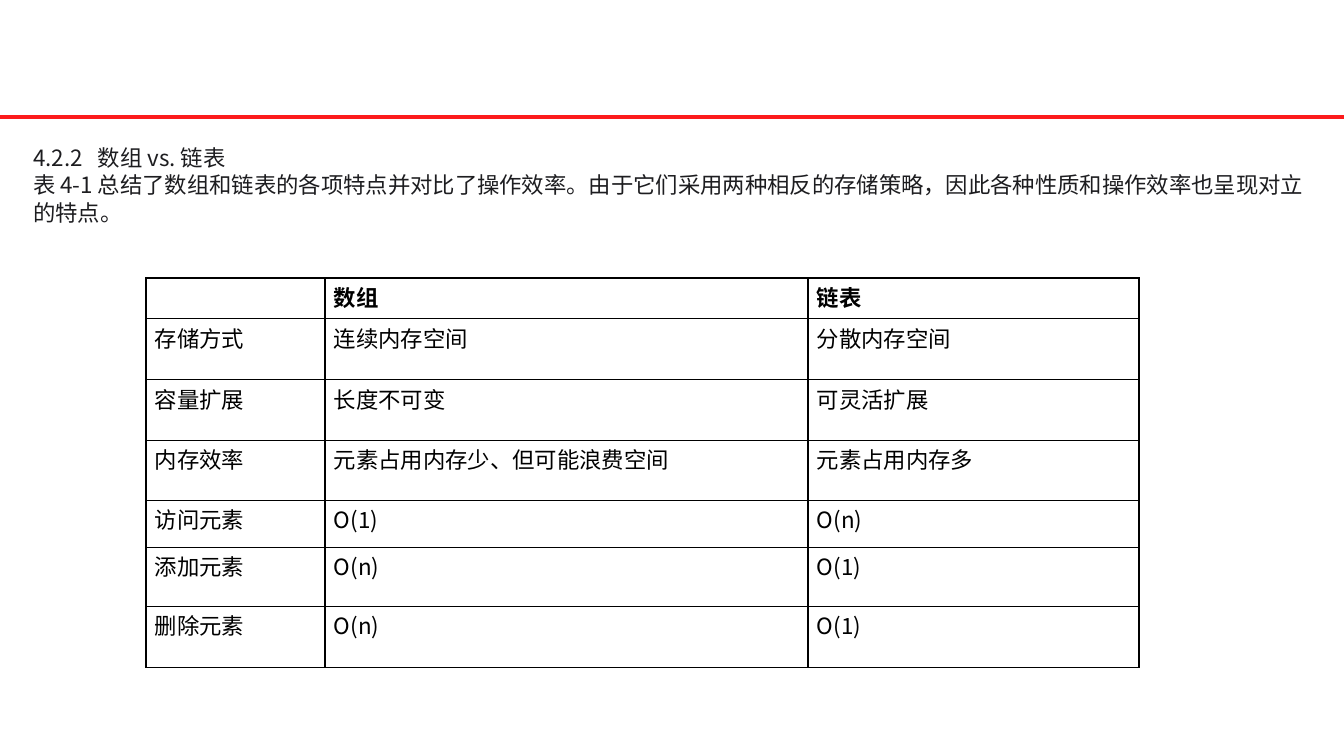
import pptx
import pptx.dml.color
import pptx.enum.shapes
import pptx.enum.text
import pptx.oxml
import pptx.oxml.ns
import pptx.util

# Scale, colours and type
EMU_PER_PX = 914400 / 100.8
SLIDE_WIDTH, SLIDE_HEIGHT = 1344, 756
RED = pptx.dml.color.RGBColor(0xFC, 0x1B, 0x1C)
INK = pptx.dml.color.RGBColor(0x1D, 0x1D, 0x20)
BLACK = pptx.dml.color.RGBColor(0x00, 0x00, 0x00)
FONT_NAME = "Noto Sans CJK SC"
FONT_SIZE = pptx.util.Pt(16)
LINE_HEIGHT = pptx.util.Pt(19.4)

# Content
INTRODUCTION = [
    "4.2.2 \u00a0 数组 vs. 链表".replace("\u00a0", " "),
    "表 4-1 总结了数组和链表的各项特点并对比了操作效率。由于它们采用两种相反的存储策略，"
    "因此各种性质和操作效率也呈现对立的特点。",
]
COMPARISON = [
    ("", "数组", "链表"),
    ("存储方式", "连续内存空间", "分散内存空间"),
    ("容量扩展", "长度不可变", "可灵活扩展"),
    ("内存效率", "元素占用内存少、但可能浪费空间", "元素占用内存多"),
    ("访问元素", "O(1)", "O(n)"),
    ("添加元素", "O(n)", "O(1)"),
    ("删除元素", "O(n)", "O(1)"),
]
COLUMN_WIDTHS = [179, 483, 331]
ROW_HEIGHTS = [35, 61, 61, 60, 47, 59, 61]


def px(length):
    return pptx.util.Emu(round(length * EMU_PER_PX))


def format_paragraph(paragraph, color, bold=False):
    paragraph.alignment = pptx.enum.text.PP_ALIGN.LEFT
    paragraph.line_spacing = LINE_HEIGHT
    font = paragraph.font
    font.name = FONT_NAME
    font.size = FONT_SIZE
    font.bold = bold
    font.color.rgb = color
    # East Asian typeface for the Chinese characters
    properties = paragraph._p.get_or_add_pPr().get_or_add_defRPr()
    east_asian = pptx.oxml.parse_xml(
        f'<a:ea {pptx.oxml.ns.nsdecls("a")} typeface="{FONT_NAME}"/>')
    properties.find(pptx.oxml.ns.qn("a:latin")).addnext(east_asian)


def add_rule(slide, top):
    rule = slide.shapes.add_connector(
        pptx.enum.shapes.MSO_CONNECTOR.STRAIGHT, 0, px(top), px(SLIDE_WIDTH), px(top))
    rule.line.color.rgb = RED
    rule.line.width = pptx.util.Pt(3)
    rule._element.spPr.append(
        pptx.oxml.parse_xml(f'<a:effectLst {pptx.oxml.ns.nsdecls("a")}/>'))


def fill_title(title, left, top, width, height, texts):
    title.left, title.top = px(left), px(top)
    title.width, title.height = px(width), px(height)
    frame = title.text_frame
    frame.word_wrap = True
    frame.auto_size = pptx.enum.text.MSO_AUTO_SIZE.NONE
    frame.vertical_anchor = pptx.enum.text.MSO_ANCHOR.TOP
    frame.text = "\n".join(texts)
    for paragraph in frame.paragraphs:
        format_paragraph(paragraph, INK)


def add_cell_borders(cell):
    properties = cell._tc.get_or_add_tcPr()
    for index, side in enumerate(("lnL", "lnR", "lnT", "lnB")):
        properties.insert(index, pptx.oxml.parse_xml(
            f'<a:{side} {pptx.oxml.ns.nsdecls("a")} w="{pptx.util.Pt(1)}">'
            f'<a:solidFill><a:srgbClr val="{BLACK}"/></a:solidFill></a:{side}>'))


def fill_cell(cell, text, bold):
    cell.text = text
    cell.margin_left = cell.margin_right = px(9)
    cell.margin_top, cell.margin_bottom = px(8), 0
    cell.fill.background()
    format_paragraph(cell.text_frame.paragraphs[0], BLACK, bold)
    add_cell_borders(cell)


def add_comparison_table(slide, left, top):
    table = slide.shapes.add_table(
        len(COMPARISON), len(COLUMN_WIDTHS), px(left), px(top),
        px(sum(COLUMN_WIDTHS)), px(sum(ROW_HEIGHTS))).table
    table.first_row = table.horz_banding = False
    for column, width in zip(table.columns, COLUMN_WIDTHS):
        column.width = px(width)
    for row_index, (row, height) in enumerate(zip(table.rows, ROW_HEIGHTS)):
        row.height = px(height)
        for cell, text in zip(row.cells, COMPARISON[row_index]):
            fill_cell(cell, text, bold=row_index == 0)


def main():
    presentation = pptx.Presentation()
    presentation.slide_width = px(SLIDE_WIDTH)
    presentation.slide_height = px(SLIDE_HEIGHT)
    slide = presentation.slides.add_slide(
        presentation.slide_layouts.get_by_name("Title Only"))

    # Red rule, section heading with introduction, comparison table
    add_rule(slide, 117)
    fill_title(slide.shapes.title, 23, 139, 1305, 92, INTRODUCTION)
    add_comparison_table(slide, 146, 278)
    presentation.save("out.pptx")


if __name__ == "__main__":
    main()
